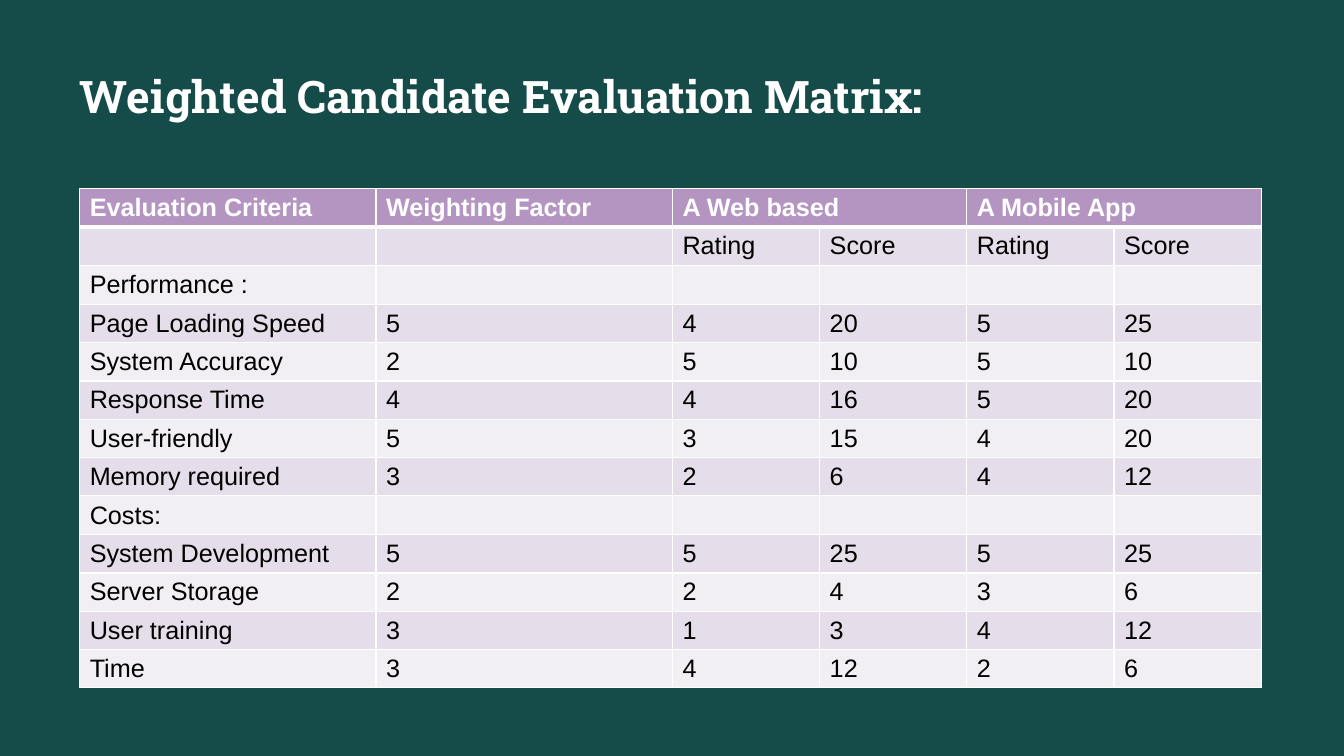
"""Build the weighted candidate evaluation matrix slide."""
from dataclasses import dataclass
from typing import Optional

from lxml import etree
from pptx import Presentation
from pptx import util as u
from pptx.dml.color import RGBColor
from pptx.enum import text
from pptx.oxml import ns
from pptx.slide import Slide
from pptx.table import Table, _Cell

COLOURS = {
    "background": "154C4A",
    "header": "B495C2",
    "odd_row": "E5DDE9",
    "even_row": "F2EFF4",
    "light": "FFFFFF",
    "dark": "000000",
}
COLUMN_WIDTHS = [2.94, 2.94, 1.46, 1.46, 1.46, 1.46]
ROW_HEIGHT = 0.38
HEADINGS = ["Evaluation Criteria", "Weighting Factor", "A Web based", "", "A Mobile App", ""]
SUBHEADINGS = ["", "", "Rating", "Score", "Rating", "Score"]


@dataclass(frozen=True)
class Criterion:
    """A criterion with its weight and ratings, or a bare group label."""

    label: str
    weight: Optional[int] = None
    web: int = 0
    mobile: int = 0

    def cells(self) -> list[str]:
        """Return the row's texts, each score being weight times rating."""
        if self.weight is None:
            return [self.label] + [""] * 5
        values = [self.weight, self.web, self.weight * self.web,
                  self.mobile, self.weight * self.mobile]
        return [self.label] + [str(value) for value in values]


CRITERIA = [
    Criterion("Performance :"),
    Criterion("Page Loading Speed", 5, 4, 5),
    Criterion("System Accuracy", 2, 5, 5),
    Criterion("Response Time", 4, 4, 5),
    Criterion("User-friendly", 5, 3, 4),
    Criterion("Memory required", 3, 2, 4),
    Criterion("Costs:"),
    Criterion("System Development", 5, 5, 5),
    Criterion("Server Storage", 2, 2, 3),
    Criterion("User training", 3, 1, 4),
    Criterion("Time", 3, 4, 2),
]


def colour(name: str) -> RGBColor:
    """Return a named palette colour."""
    return RGBColor.from_string(COLOURS[name])


def add_borders(cell: _Cell, top: float, bottom: float) -> None:
    """Draw light borders around a cell, with widths in points."""
    properties = cell._tc.get_or_add_tcPr()
    for side, width in (("L", 1), ("R", 1), ("T", top), ("B", bottom)):
        line = etree.SubElement(properties, ns.qn(f"a:ln{side}"), w=str(u.Pt(width)))
        fill = etree.SubElement(line, ns.qn("a:solidFill"))
        etree.SubElement(fill, ns.qn("a:srgbClr"), val=COLOURS["light"])


def format_font(paragraph, name: str, size: float, tint: str, bold: bool) -> None:
    """Format every run of a paragraph."""
    for run in paragraph.runs:
        run.font.name = name
        run.font.size = u.Pt(size)
        run.font.bold = bold
        run.font.color.rgb = colour(tint)


def add_title(slide: Slide, wording: str) -> None:
    """Place and format the slide title."""
    title = slide.shapes.title
    title.left, title.top = u.Inches(0.79), u.Inches(0.68)
    title.width, title.height = u.Inches(11.7), u.Inches(0.77)
    frame = title.text_frame
    frame.text = wording
    frame.word_wrap = True
    frame.vertical_anchor = text.MSO_ANCHOR.TOP
    frame.margin_left = frame.margin_right = frame.margin_top = frame.margin_bottom = 0
    frame.paragraphs[0].alignment = text.PP_ALIGN.LEFT
    format_font(frame.paragraphs[0], "Roboto Slab", 32, "light", True)


def fill_row(matrix: Table, index: int, wordings: list[str]) -> None:
    """Write and format one row of the matrix."""
    header = index == 0
    band = "header" if header else "odd_row" if index % 2 else "even_row"
    matrix.rows[index].height = u.Inches(ROW_HEIGHT)
    for column, wording in enumerate(wordings):
        cell = matrix.cell(index, column)
        cell.text_frame.text = wording
        cell.margin_top = cell.margin_bottom = u.Inches(0.04)
        cell.vertical_anchor = text.MSO_ANCHOR.MIDDLE
        add_borders(cell, 3 if index == 1 else 1, 3 if header else 1)
        cell.fill.solid()
        cell.fill.fore_color.rgb = colour(band)
        format_font(cell.text_frame.paragraphs[0], "Arial", 18,
                    "light" if header else "dark", header)


def add_matrix(slide: Slide) -> None:
    """Add the evaluation matrix."""
    rows = [HEADINGS, SUBHEADINGS] + [criterion.cells() for criterion in CRITERIA]
    matrix = slide.shapes.add_table(
        len(rows), len(COLUMN_WIDTHS), u.Inches(0.79), u.Inches(1.87),
        u.Inches(sum(COLUMN_WIDTHS)), u.Inches(ROW_HEIGHT * len(rows))).table
    for column, width in zip(matrix.columns, COLUMN_WIDTHS):
        column.width = u.Inches(width)
    for index, wordings in enumerate(rows):
        fill_row(matrix, index, wordings)
    for first in (2, 4):
        matrix.cell(0, first).merge(matrix.cell(0, first + 1))


def main() -> None:
    """Create and save the presentation."""
    deck = Presentation()
    deck.slide_width, deck.slide_height = u.Inches(13.33), u.Inches(7.5)
    slide = deck.slides.add_slide(deck.slide_layouts.get_by_name("Title Only"))
    slide.background.fill.solid()
    slide.background.fill.fore_color.rgb = colour("background")
    add_title(slide, "Weighted Candidate Evaluation Matrix:")
    add_matrix(slide)
    deck.save("out.pptx")


if __name__ == "__main__":
    main()
